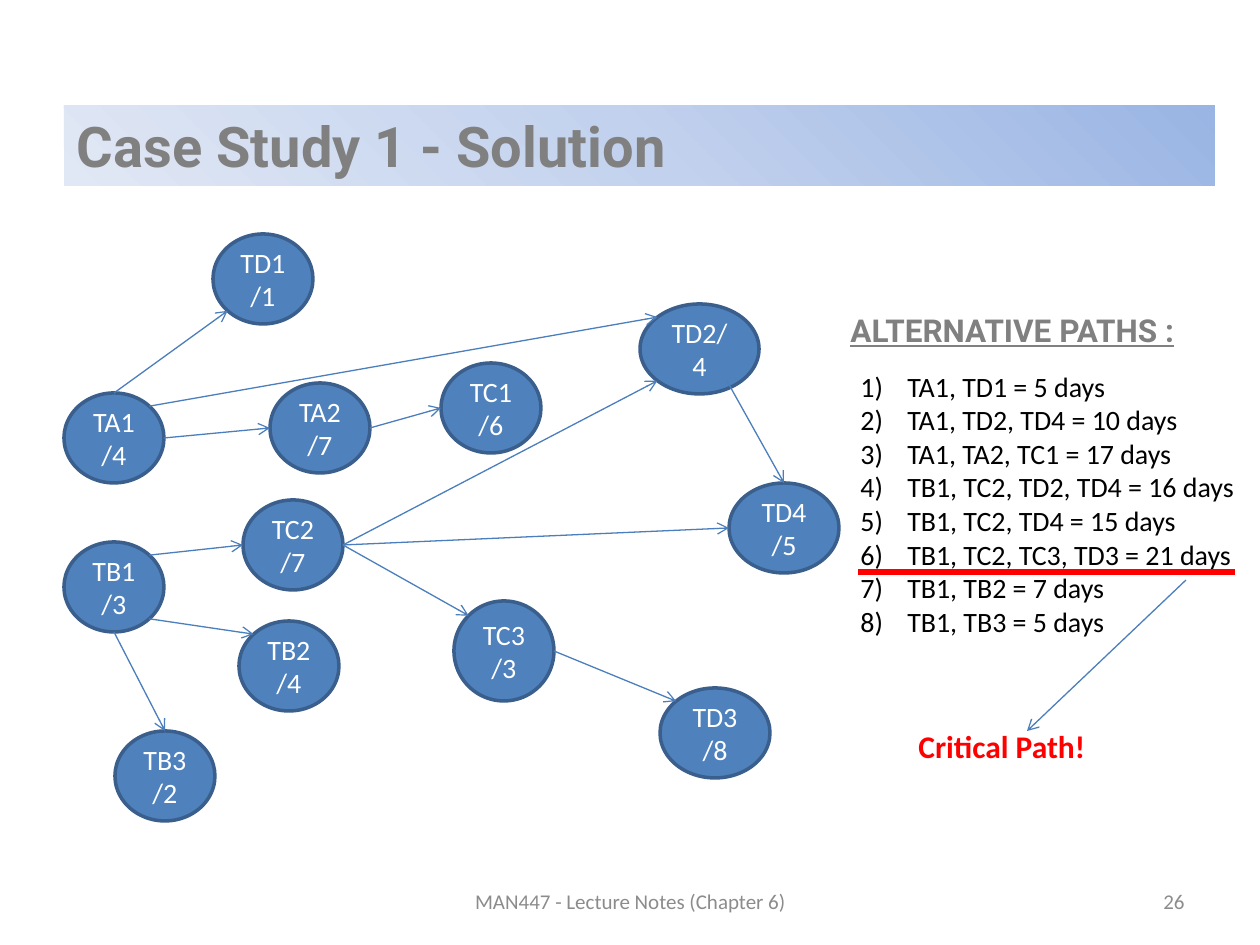
"""Build the Case Study 1 solution slide: a task network and its paths."""
from math import cos, pi, sin

from lxml.etree import SubElement as Sub
from pptx import Presentation
from pptx.dml.color import RGBColor
from pptx.enum.shapes import MSO_CONNECTOR as Link, MSO_SHAPE as Shape
from pptx.enum.text import MSO_ANCHOR as Anchor, MSO_AUTO_SIZE as Auto, PP_ALIGN as Align
from pptx.oxml.ns import qn
from pptx.util import Pt

BLUE = RGBColor(0x4F, 0x81, 0xBD)
EDGE = RGBColor(0x3A, 0x5F, 0x8C)
ARROW = RGBColor(0x4B, 0x7E, 0xBC)
GREY = RGBColor(0x80, 0x80, 0x80)
PALE = RGBColor(0x8C, 0x8C, 0x8C)
RED = RGBColor(0xFF, 0, 0)
BLACK = RGBColor(0, 0, 0)
WHITE = RGBColor(0xFF, 0xFF, 0xFF)
STOPS = [(0, RGBColor(0x9A, 0xB5, 0xE4)), (50, RGBColor(0xC2, 0xD1, 0xED)),
         (100, RGBColor(0xE1, 0xE8, 0xF5))]

WIDE, HIGH = 100, 90
TASKS = [
    ("TA1", 4, 64, 393, WIDE, HIGH),
    ("TB1", 3, 64, 542, WIDE, HIGH),
    ("TD1", 1, 213, 234, WIDE, HIGH),
    ("TA2", 7, 270, 383, WIDE, HIGH),
    ("TC2", 7, 243, 500, WIDE, HIGH),
    ("TB2", 4, 239, 621, WIDE, HIGH),
    ("TB3", 2, 115, 731, WIDE, HIGH),
    ("TC1", 6, 441, 363, WIDE, HIGH),
    ("TC3", 3, 454, 601, WIDE, 100),
    ("TD2", 4, 640, 304, 119, HIGH),
    ("TD4", 5, 729, 483, 110, HIGH),
    ("TD3", 8, 660, 688, 110, HIGH),
]

TOP, TOP_L, LEFT, LOW_L, LOW, LOW_R, RIGHT, TOP_R = range(8)
STEPS = [
    ("TA1", TOP, "TD1", LOW_L),
    ("TA1", TOP_R, "TD2", TOP_L),
    ("TA1", RIGHT, "TA2", LEFT),
    ("TB1", TOP_R, "TC2", LEFT),
    ("TB1", LOW_R, "TB2", TOP_L),
    ("TB1", LOW, "TB3", TOP),
    ("TC2", RIGHT, "TD2", LOW_L),
    ("TA2", RIGHT, "TC1", LEFT),
    ("TC2", RIGHT, "TC3", TOP_L),
    ("TC3", RIGHT, "TD3", TOP_L),
    ("TC2", RIGHT, "TD4", LEFT),
]
LINES = [
    ((858, 572), (1235, 572), RED, 3, False),
    ((1186, 580), (1027, 731), ARROW, 0.75, True),
    ((727, 381), (784, 483), ARROW, 0.75, True),
]
PATHS = [
    "TA1, TD1 = 5 days",
    "TA1, TD2, TD4 = 10 days",
    "TA1, TA2, TC1 = 17 days",
    "TB1, TC2, TD2, TD4 = 16 days",
    "TB1, TC2, TD4 = 15 days",
    "TB1, TC2, TC3, TD3 = 21 days",
    "TB1, TB2 = 7 days",
    "TB1, TB3 = 5 days",
]


def px(num):
    return round(num * 914400 / 126)


def style(para, size, color, face="Calibri", bold=False, align=Align.LEFT):
    para.alignment = align
    font = para.font
    font.size, font.name, font.bold = Pt(size), face, bold
    font.color.rgb = color


def write(slide, box, lines, size, color, **look):
    frame = slide.shapes.add_textbox(*map(px, box)).text_frame
    frame.text = "\n".join(lines)
    frame.word_wrap, frame.auto_size = False, Auto.SHAPE_TO_FIT_TEXT
    for para in frame.paragraphs:
        style(para, size, color, **look)
    return frame


def draw(slide, start, end, color, width, arrow):
    line = slide.shapes.add_connector(Link.STRAIGHT, *map(px, start + end))
    line.line.color.rgb, line.line.width = color, Pt(width)
    if arrow:
        Sub(line.line._get_or_add_ln(), qn("a:tailEnd"), type="arrow")
    Sub(line._element.spPr, qn("a:effectLst"))
    return line


def site(task, spot):
    left, top, width, height = task
    turn = pi / 2 + spot * pi / 4
    return (left + width / 2 * (1 + cos(turn)), top + height / 2 * (1 - sin(turn)))


def join(slide, ovals, boxes, step):
    head, out, tail, into = step
    line = draw(slide, site(boxes[head], out), site(boxes[tail], into), ARROW, 0.75, True)
    glue = line._element.nvCxnSpPr.cNvCxnSpPr
    for tag, name, spot in (("a:stCxn", head, out), ("a:endCxn", tail, into)):
        Sub(glue, qn(tag), id=str(ovals[name].shape_id), idx=str(spot))


def add_title(slide):
    title = slide.shapes.title
    title.left, title.top, title.width, title.height = map(px, (64, 105, 1151, 81))
    frame = title.text_frame
    frame.text = "Case Study 1 - Solution"
    frame.auto_size, frame.vertical_anchor = Auto.NONE, Anchor.MIDDLE
    style(frame.paragraphs[0], 32, GREY, "Roboto", True)
    grad = Sub(title._element.spPr, qn("a:gradFill"), rotWithShape="1")
    stops = Sub(grad, qn("a:gsLst"))
    for pos, color in STOPS:
        stop = Sub(stops, qn("a:gs"), pos=str(pos * 1000))
        Sub(stop, qn("a:srgbClr"), val=str(color))
    path = Sub(grad, qn("a:path"), path="circle")
    Sub(path, qn("a:fillToRect"), l="100000", b="100000")


def add_task(slide, name, days, box):
    oval = slide.shapes.add_shape(Shape.OVAL, *map(px, box))
    oval.shadow.inherit = False
    oval.fill.solid()
    oval.fill.fore_color.rgb = BLUE
    oval.line.color.rgb, oval.line.width = EDGE, Pt(2)
    frame = oval.text_frame
    frame.text, frame.word_wrap = f"{name}/{days}", True
    frame.vertical_anchor = Anchor.MIDDLE
    style(frame.paragraphs[0], 16, WHITE, align=Align.CENTER)
    return oval


def add_paths(slide):
    frame = write(slide, (848, 363, 403, 289), PATHS, 16, BLACK)
    for para in frame.paragraphs:
        props = para._p.get_or_add_pPr()
        props.set("marL", str(px(47)))
        props.set("indent", str(-px(47)))
        Sub(props, qn("a:buFont"), typeface="+mj-lt")
        Sub(props, qn("a:buAutoNum"), type="arabicParenR")
        props.append(props.find(qn("a:defRPr")))


def add_foot(slide, box, text, align):
    frame = write(slide, box, [text], 12, PALE, align=align)
    frame.auto_size, frame.word_wrap = Auto.NONE, True
    frame.vertical_anchor = Anchor.MIDDLE


def main():
    deck = Presentation()
    deck.slide_width, deck.slide_height = px(1260), px(945)
    slide = deck.slides.add_slide(deck.slide_layouts[5])
    add_title(slide)
    boxes = {name: tuple(box) for name, _, *box in TASKS}
    ovals = {name: add_task(slide, name, days, box) for name, days, *box in TASKS}
    for step in STEPS:
        join(slide, ovals, boxes, step)
    head = write(slide, (838, 305, 392, 50), ["ALTERNATIVE PATHS :"], 18, GREY,
                 face="Roboto", bold=True)
    head.paragraphs[0].font.underline = True
    add_paths(slide)
    for line in LINES:
        draw(slide, *line)
    write(slide, (906, 721, 198, 50), ["Critical Path!"], 18, RED, bold=True)
    add_foot(slide, (431, 876, 399, 50), "MAN447 - Lecture Notes (Chapter 6)", Align.CENTER)
    add_foot(slide, (903, 876, 294, 50), "26", Align.RIGHT)
    deck.save("out.pptx")


if __name__ == "__main__":
    main()
